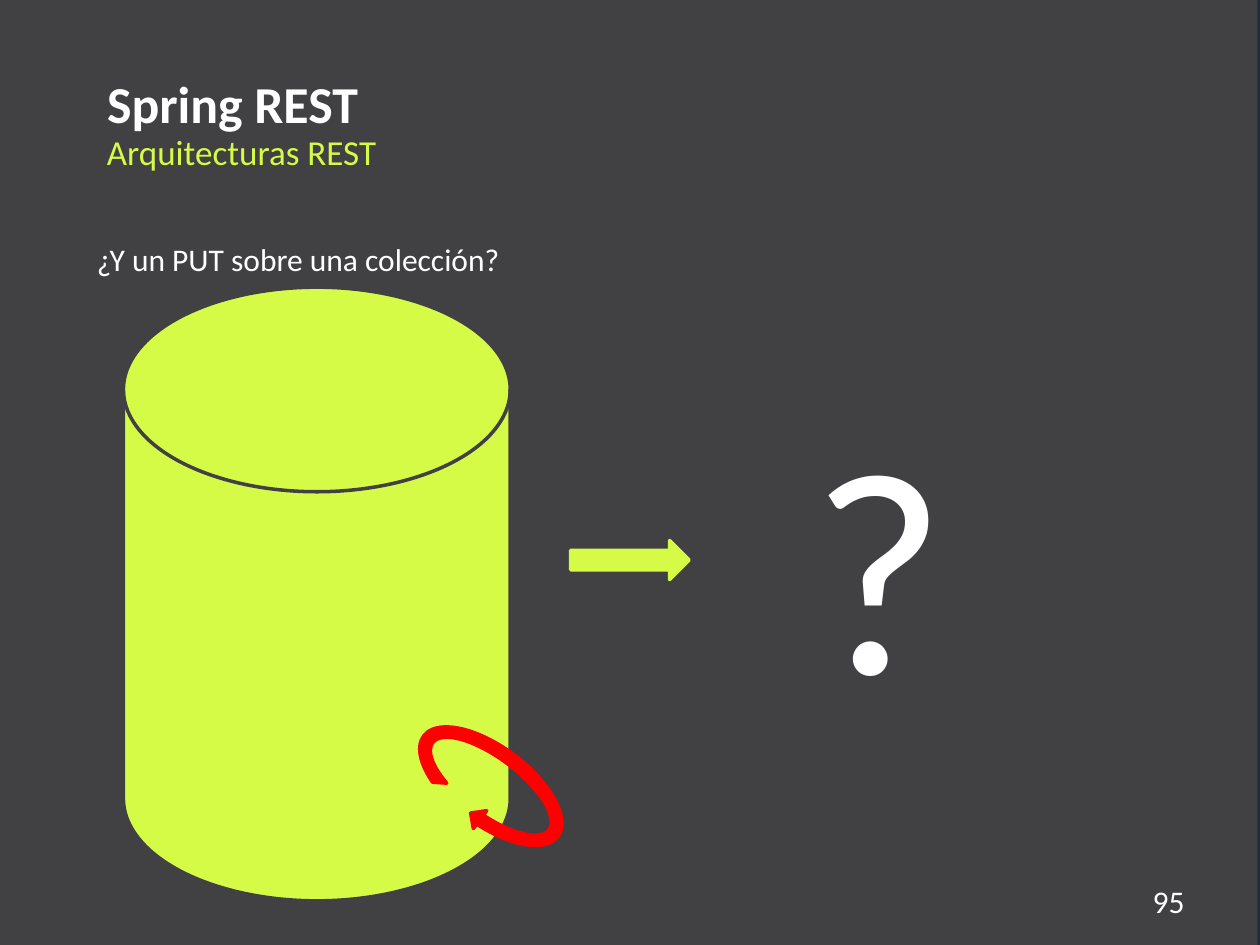
from pptx import Presentation
from pptx.dml.color import RGBColor
from pptx.enum.shapes import MSO_SHAPE
from pptx.enum.text import MSO_ANCHOR, PP_ALIGN
from pptx.util import Inches, Pt

THEME = {
    "font": "Calibri",
    "edge": "1E2E3E", "panel": "414143", "lime": "D6FB47",
    "white": "FFFFFF", "red": "FF0000",
    "title": 29.6, "sub": 20, "body": 18, "huge": 166, "line": 2,
}

TITLE = ("Spring REST", (0.75, 0.52, 8.11, 0.55))
TEXTS = [
    ("Arquitecturas REST", (0.75, 0.99, 8.75, 0.47), "sub", "lime", PP_ALIGN.LEFT),
    ("¿Y un PUT sobre una colección?", (0.67, 1.86, 8.43, 0.4), "body", "white", PP_ALIGN.LEFT),
    ("?", (6.34, 3, 2.05, 2.89), "huge", "white", PP_ALIGN.LEFT),
    ("95", (8.54, 6.95, 0.96, 0.4), "body", "white", PP_ALIGN.RIGHT),
]
PANEL = (MSO_SHAPE.RECTANGLE, (-0.04, 0, 10.02, 7.5), "panel", None)
STORE = (MSO_SHAPE.FLOWCHART_MAGNETIC_DISK, (0.98, 2.28, 3.07, 4.87), "lime", "panel")
ARROW = (MSO_SHAPE.RIGHT_ARROW, (4.53, 4.29, 0.94, 0.31), "lime", "lime")
LOOP = (MSO_SHAPE.CIRCULAR_ARROW, (3.54, 5.53, 0.71, 1.42), "red", "red")
BEND = (0.125, 11.42, 204.58, 34.23, 0.125)
TURN = 126.9


def color(name):
    return RGBColor.from_string(THEME[name])


def draw(slide, kind, box, fill, line):
    shape = slide.shapes.add_shape(kind, *map(Inches, box))
    shape.shadow.inherit = False
    shape.fill.solid()
    shape.fill.fore_color.rgb = color(fill)
    if line:
        shape.line.color.rgb = color(line)
        shape.line.width = Pt(THEME["line"])
    else:
        shape.line.fill.background()
    return shape


def write(shape, text, size, tint, align, bold=False):
    frame = shape.text_frame
    frame.text = text
    frame.word_wrap = True
    frame.vertical_anchor = MSO_ANCHOR.TOP
    par = frame.paragraphs[0]
    par.alignment = align
    font = par.runs[0].font
    font.name = THEME["font"]
    font.size = Pt(THEME[size])
    font.bold = bold
    font.color.rgb = color(tint)


def main():
    deck = Presentation()
    deck.slide_width, deck.slide_height = Inches(10), Inches(7.5)
    slide = deck.slides.add_slide(deck.slide_layouts[5])
    slide.background.fill.solid()
    slide.background.fill.fore_color.rgb = color("edge")

    panel = draw(slide, *PANEL)
    title = slide.shapes.title
    title.left, title.top, title.width, title.height = map(Inches, TITLE[1])
    write(title, TITLE[0], "title", "white", PP_ALIGN.LEFT, True)
    panel.element.addnext(title.element)

    draw(slide, *STORE)
    draw(slide, *ARROW)
    loop = draw(slide, *LOOP)
    loop.rotation = TURN
    for i, value in enumerate(BEND):
        loop.adjustments[i] = value

    for text, box, size, tint, align in TEXTS:
        label = slide.shapes.add_textbox(*map(Inches, box))
        write(label, text, size, tint, align)

    deck.save("out.pptx")


if __name__ == "__main__":
    main()
